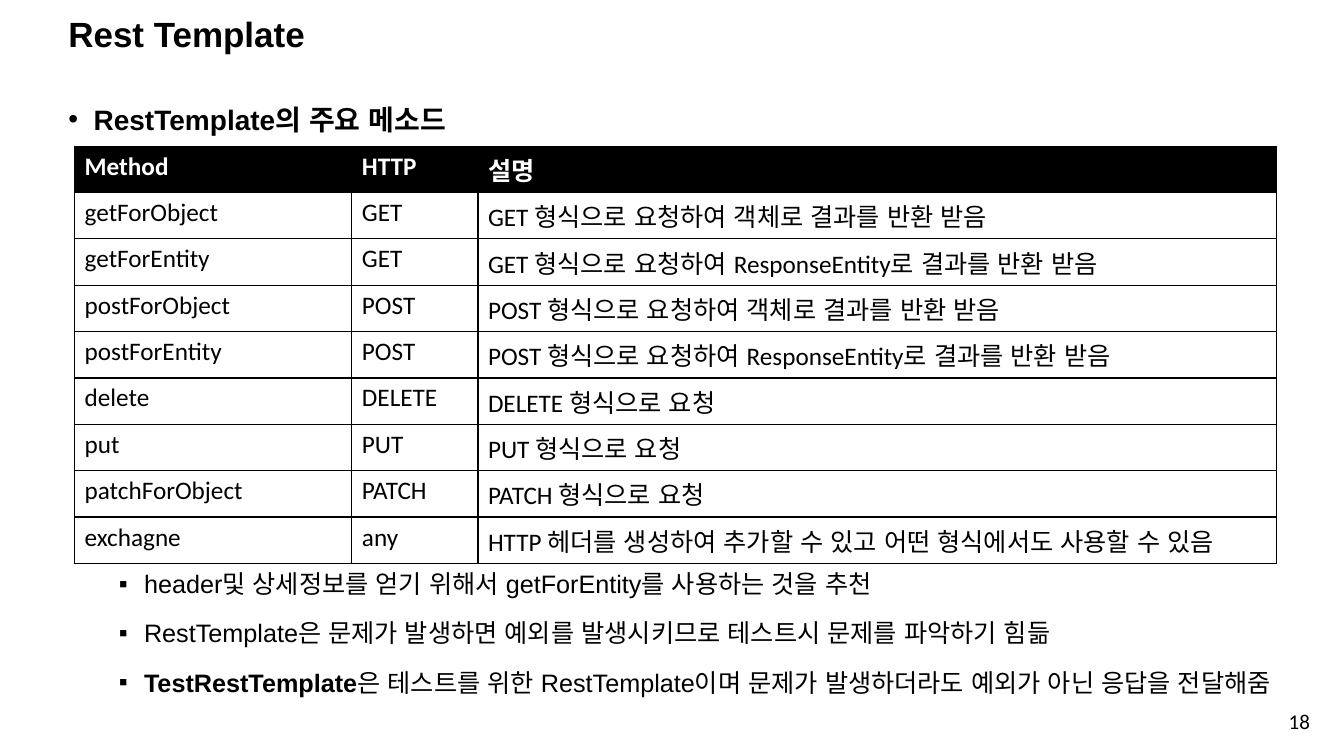
from dataclasses import dataclass

from lxml.etree import SubElement
from pptx import Presentation
from pptx.dml.color import RGBColor
from pptx.enum.lang import MSO_LANGUAGE_ID
from pptx.enum.text import MSO_ANCHOR, PP_ALIGN
from pptx.oxml.ns import qn
from pptx.util import Inches, Pt


@dataclass(frozen=True)
class Theme:
    ink: str = "000000"
    paper: str = "FFFFFF"
    text_font: str = "Arial"
    table_font: str = "Calibri"
    title_size: int = 25
    heading_size: int = 20
    body_size: int = 18
    number_size: int = 15


class SlideBuilder:
    def __init__(self, slide, theme):
        self.slide = slide
        self.theme = theme

    def run(self, paragraph, words, size, name, bold=False, color=None):
        run = paragraph.add_run()
        run.text = words
        style = {"size": Pt(size), "name": name, "bold": bold,
                 "language_id": MSO_LANGUAGE_ID.KOREAN}
        for attribute, value in style.items():
            setattr(run.font, attribute, value)
        run.font.color.rgb = RGBColor.from_string(color or self.theme.ink)

    def frame(self, box, anchor=MSO_ANCHOR.TOP):
        frame = self.slide.shapes.add_textbox(*map(Inches, box)).text_frame
        frame.word_wrap = True
        frame.vertical_anchor = anchor
        return frame

    def label(self, words, box, size, name, bold=False, **layout):
        paragraph = self.frame(box, MSO_ANCHOR.MIDDLE).paragraphs[0]
        for attribute, value in layout.items():
            setattr(paragraph, attribute, value)
        self.run(paragraph, words, size, name, bold)

    def bullets(self, items, box, size, mark, margin):
        """Each item is a list of (words, bold) pairs."""
        frame = self.frame(box)
        for index, item in enumerate(items):
            paragraph = frame.add_paragraph() if index else frame.paragraphs[0]
            properties = paragraph._p.get_or_add_pPr()
            properties.set("marL", str(Inches(margin)))
            properties.set("indent", str(Inches(-0.25)))
            SubElement(properties, qn("a:buFont"), typeface=self.theme.text_font)
            SubElement(properties, qn("a:buChar"), char=mark)
            layout = {"line_spacing": 1.4, "space_before": Pt(5 if index else 0)}
            for attribute, value in layout.items():
                setattr(paragraph, attribute, value)
            for words, bold in item:
                self.run(paragraph, words, size, self.theme.text_font, bold)

    def border(self, cell):
        properties = cell._tc.get_or_add_tcPr()
        for position, side in enumerate(("a:lnL", "a:lnR", "a:lnT", "a:lnB")):
            line = properties.makeelement(qn(side), {"w": str(Pt(1))})
            fill = SubElement(line, qn("a:solidFill"))
            SubElement(fill, qn("a:srgbClr"), val=self.theme.ink)
            properties.insert(position, line)

    def table(self, rows, left, top, widths, row_height):
        theme = self.theme
        table = self.slide.shapes.add_table(
            len(rows), len(widths), Inches(left), Inches(top),
            Inches(sum(widths)), Inches(row_height * len(rows))).table
        for column, width in zip(table.columns, widths):
            column.width = Inches(width)
        for r, row in enumerate(rows):
            header = r == 0
            table.rows[r].height = Inches(row_height)
            for c, words in enumerate(row):
                cell = table.cell(r, c)
                cell.fill.solid()
                cell.fill.fore_color.rgb = RGBColor.from_string(
                    theme.ink if header else theme.paper)
                self.border(cell)
                self.run(cell.text_frame.paragraphs[0], words, theme.body_size,
                         theme.table_font, header,
                         theme.paper if header else theme.ink)


METHODS = [
    ("Method", "HTTP", "설명"),
    ("getForObject", "GET", "GET 형식으로 요청하여 객체로 결과를 반환 받음"),
    ("getForEntity", "GET", "GET 형식으로 요청하여 ResponseEntity로 결과를 반환 받음"),
    ("postForObject", "POST", "POST 형식으로 요청하여 객체로 결과를 반환 받음"),
    ("postForEntity", "POST", "POST 형식으로 요청하여 ResponseEntity로 결과를 반환 받음"),
    ("delete", "DELETE", "DELETE 형식으로 요청"),
    ("put", "PUT", "PUT 형식으로 요청"),
    ("patchForObject", "PATCH", "PATCH 형식으로 요청"),
    ("exchagne", "any", "HTTP 헤더를 생성하여 추가할 수 있고 어떤 형식에서도 사용할 수 있음"),
]

ADVICE = [
    [("header및 상세정보를 얻기 위해서 getForEntity를 사용하는 것을 추천", False)],
    [("RestTemplate은 문제가 발생하면 예외를 발생시키므로 테스트시 문제를 파악하기 힘듦", False)],
    [("TestRestTemplate", True),
     ("은 테스트를 위한 RestTemplate이며 문제가 발생하더라도 예외가 아닌 응답을 전달해줌", False)],
]


def main():
    presentation = Presentation()
    presentation.slide_width = Inches(13.33)
    presentation.slide_height = Inches(7.5)
    theme = Theme()
    page = SlideBuilder(
        presentation.slides.add_slide(presentation.slide_layouts[6]), theme)

    # Title and page number
    page.label("Rest Template", (0.58, 0.17, 11.5, 0.38), theme.title_size,
               theme.text_font, bold=True, line_spacing=0.9)
    page.label("18", (10.09, 6.95, 3, 0.4), theme.number_size,
               theme.table_font, alignment=PP_ALIGN.RIGHT)

    # Heading above the table
    page.bullets([[("RestTemplate의 주요 메소드", True)]],
                 (0.58, 0.83, 12.39, 0.6), theme.heading_size, "•", 0.25)

    # Table of methods
    page.table(METHODS, 0.74, 1.45, (2.75, 1.25, 7.92), 0.46)

    # Advice below the table
    page.bullets(ADVICE, (0.58, 5.47, 12.39, 1.6), theme.body_size, "▪", 0.75)

    presentation.save("out.pptx")


if __name__ == "__main__":
    main()
